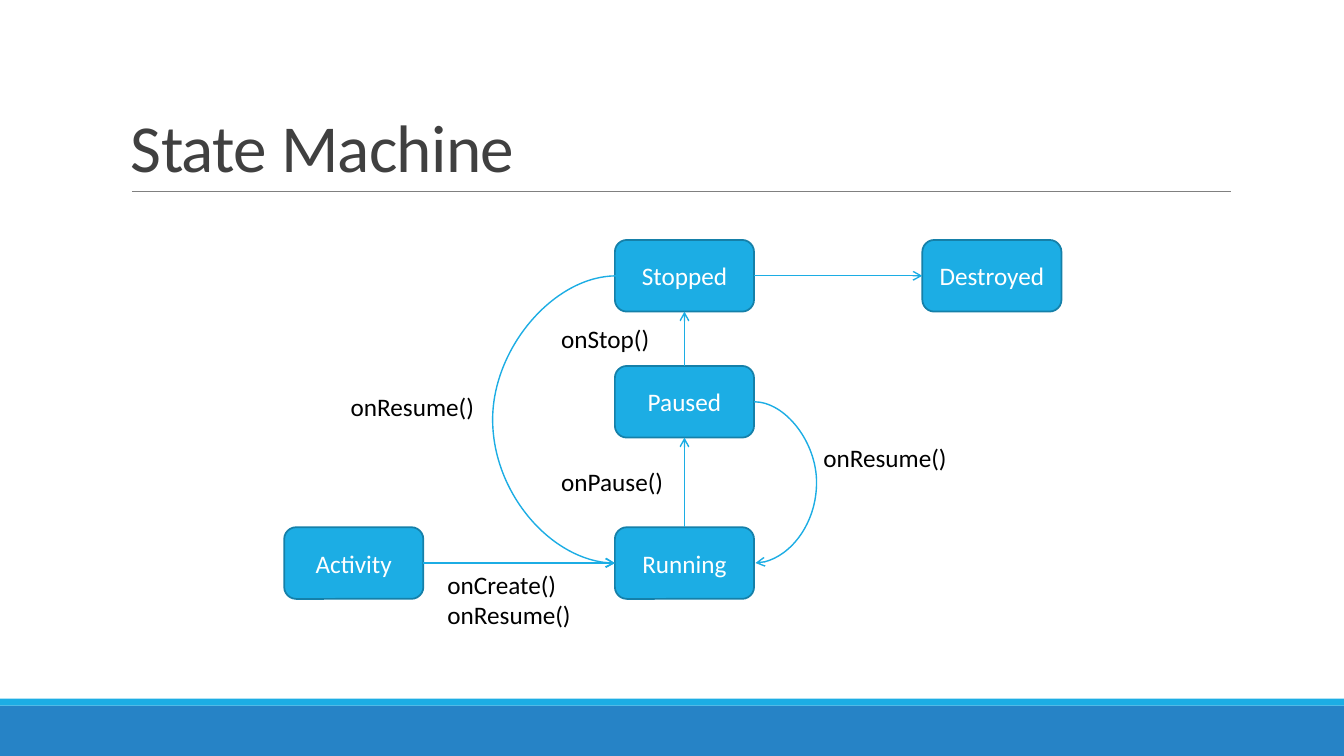
from dataclasses import dataclass

from lxml.etree import SubElement
from pptx import Presentation
from pptx.dml.color import RGBColor
from pptx.enum.shapes import MSO_CONNECTOR, MSO_SHAPE
from pptx.enum.text import MSO_ANCHOR, PP_ALIGN
from pptx.oxml.ns import qn
from pptx.util import Pt

COLOURS = {
    "band": "2683C6",
    "accent": "1CADE4",
    "outline": "1580A9",
    "rule": "808080",
    "title": "404040",
    "label": "000000",
    "white": "FFFFFF",
}
STATE_WIDTH, STATE_HEIGHT = 99.4, 51.2
TOP, LEFT, BOTTOM, RIGHT = range(4)


@dataclass(frozen=True)
class State:
    name: str
    left: float
    top: float


@dataclass(frozen=True)
class Label:
    text: str
    left: float
    top: float
    width: float
    height: float = 29


@dataclass(frozen=True)
class Transition:
    source: str
    source_side: int
    target: str
    target_side: int
    bulge: float = 0


STATES = [
    State("Activity", 203, 376.6),
    State("Running", 439.2, 376.6),
    State("Stopped", 439.2, 171.4),
    State("Paused", 439.2, 261.4),
    State("Destroyed", 658.8, 171.4),
]
TRANSITIONS = [
    Transition("Activity", RIGHT, "Running", LEFT),
    Transition("Running", TOP, "Paused", BOTTOM),
    Transition("Paused", RIGHT, "Running", RIGHT, 45),
    Transition("Paused", TOP, "Stopped", BOTTOM),
    Transition("Stopped", RIGHT, "Destroyed", LEFT),
    Transition("Stopped", LEFT, "Running", LEFT, 89),
]
LABELS = [
    Label("onCreate()\nonResume()", 312.5, 403.2, 116.6, 51),
    Label("onPause()", 393.8, 329.8, 94.3),
    Label("onResume()", 581, 312.5, 118),
    Label("onStop()", 393.8, 227.5, 90.7),
    Label("onResume()", 243.4, 275.8, 118),
]


def rgb(name: str) -> RGBColor:
    return RGBColor.from_string(COLOURS[name])


def apply(target, values: dict) -> None:
    for name, value in values.items():
        setattr(target, name, value)


def write(box, text: str, size: float, colour: str, anchor, align, spacing: float = 1) -> None:
    frame = box.text_frame
    apply(frame, {"word_wrap": True, "vertical_anchor": anchor})
    for index, line in enumerate(text.split("\n")):
        para = frame.paragraphs[0] if index == 0 else frame.add_paragraph()
        apply(para, {"alignment": align, "line_spacing": spacing})
        span = para.add_run()
        span.text = line
        apply(span.font, {"name": "Calibri", "size": Pt(size)})
        span.font.color.rgb = rgb(colour)


def add_box(page, kind, left: float, top: float, width: float, height: float, fill: str):
    box = page.shapes.add_shape(kind, Pt(left), Pt(top), Pt(width), Pt(height))
    box.shadow.inherit = False
    box.fill.solid()
    box.fill.fore_color.rgb = rgb(fill)
    box.line.fill.background()
    return box


def add_text(page, label: Label, size: float, colour: str, anchor, spacing: float = 1):
    box = page.shapes.add_textbox(Pt(label.left), Pt(label.top), Pt(label.width), Pt(label.height))
    write(box, label.text, size, colour, anchor, PP_ALIGN.LEFT, spacing)
    return box


def add_state(page, state: State):
    box = add_box(page, MSO_SHAPE.ROUNDED_RECTANGLE, state.left, state.top,
                  STATE_WIDTH, STATE_HEIGHT, "accent")
    box.line.color.rgb = rgb("outline")
    box.line.width = Pt(1.25)
    write(box, state.name, 18, "white", MSO_ANCHOR.MIDDLE, PP_ALIGN.CENTER)
    return box


def add_line(page, kind, ends: tuple, colour: str, width: float):
    line = page.shapes.add_connector(kind, *ends)
    line.line.color.rgb = rgb(colour)
    line.line.width = Pt(width)
    SubElement(line.element.spPr, qn("a:effectLst"))
    return line


def side_point(box, side: int) -> tuple:
    across = {TOP: 0.5, LEFT: 0, BOTTOM: 0.5, RIGHT: 1}[side]
    down = {TOP: 0, LEFT: 0.5, BOTTOM: 1, RIGHT: 0.5}[side]
    return int(box.left + box.width * across), int(box.top + box.height * down)


def bend(arrow, begin: tuple, end: tuple, bulge: float, leftward: bool) -> None:
    apply(arrow, {"left": begin[0], "top": begin[1], "width": Pt(1), "height": end[1] - begin[1]})
    transform = arrow.element.spPr.find(qn("a:xfrm"))
    for name in ("flipH", "flipV"):
        transform.attrib.pop(name, None)
    if leftward:
        transform.set("rot", "10800000")
        transform.set("flipV", "1")
    adjustments = arrow.element.xpath(".//a:prstGeom/a:avLst")[0]
    SubElement(adjustments, qn("a:gd"), name="adj1", fmla=f"val {round(bulge * 100000)}")


def add_transition(page, step: Transition, boxes: dict) -> None:
    source, target = boxes[step.source], boxes[step.target]
    begin, end = side_point(source, step.source_side), side_point(target, step.target_side)
    kind = MSO_CONNECTOR.CURVE if step.bulge else MSO_CONNECTOR.STRAIGHT
    arrow = add_line(page, kind, begin + end, "accent", 1)
    arrow.begin_connect(source, step.source_side)
    arrow.end_connect(target, step.target_side)
    if step.bulge:
        bend(arrow, begin, end, step.bulge, step.source_side == LEFT)
    SubElement(arrow.element.xpath(".//a:ln")[0], qn("a:tailEnd"), type="arrow")


def main() -> None:
    deck = Presentation()
    apply(deck, {"slide_width": Pt(960), "slide_height": Pt(540)})
    page = deck.slides.add_slide(deck.slide_layouts[6])
    add_box(page, MSO_SHAPE.RECTANGLE, 0, 504, 960, 36, "band")
    add_box(page, MSO_SHAPE.RECTANGLE, 0, 499, 960, 5, "accent")
    add_line(page, MSO_CONNECTOR.STRAIGHT, (Pt(94.3), Pt(136.8), Pt(879), Pt(136.8)), "rule", 0.5)
    title = add_text(page, Label("State Machine", 86.4, 22.5, 792, 114.3),
                     48, "title", MSO_ANCHOR.BOTTOM, 0.85)
    title.element.xpath(".//a:rPr")[0].set("spc", "-50")
    boxes = {state.name: add_state(page, state) for state in STATES}
    for step in TRANSITIONS:
        add_transition(page, step, boxes)
    for label in LABELS:
        add_text(page, label, 18, "label", MSO_ANCHOR.TOP)
    deck.save("out.pptx")


if __name__ == "__main__":
    main()
